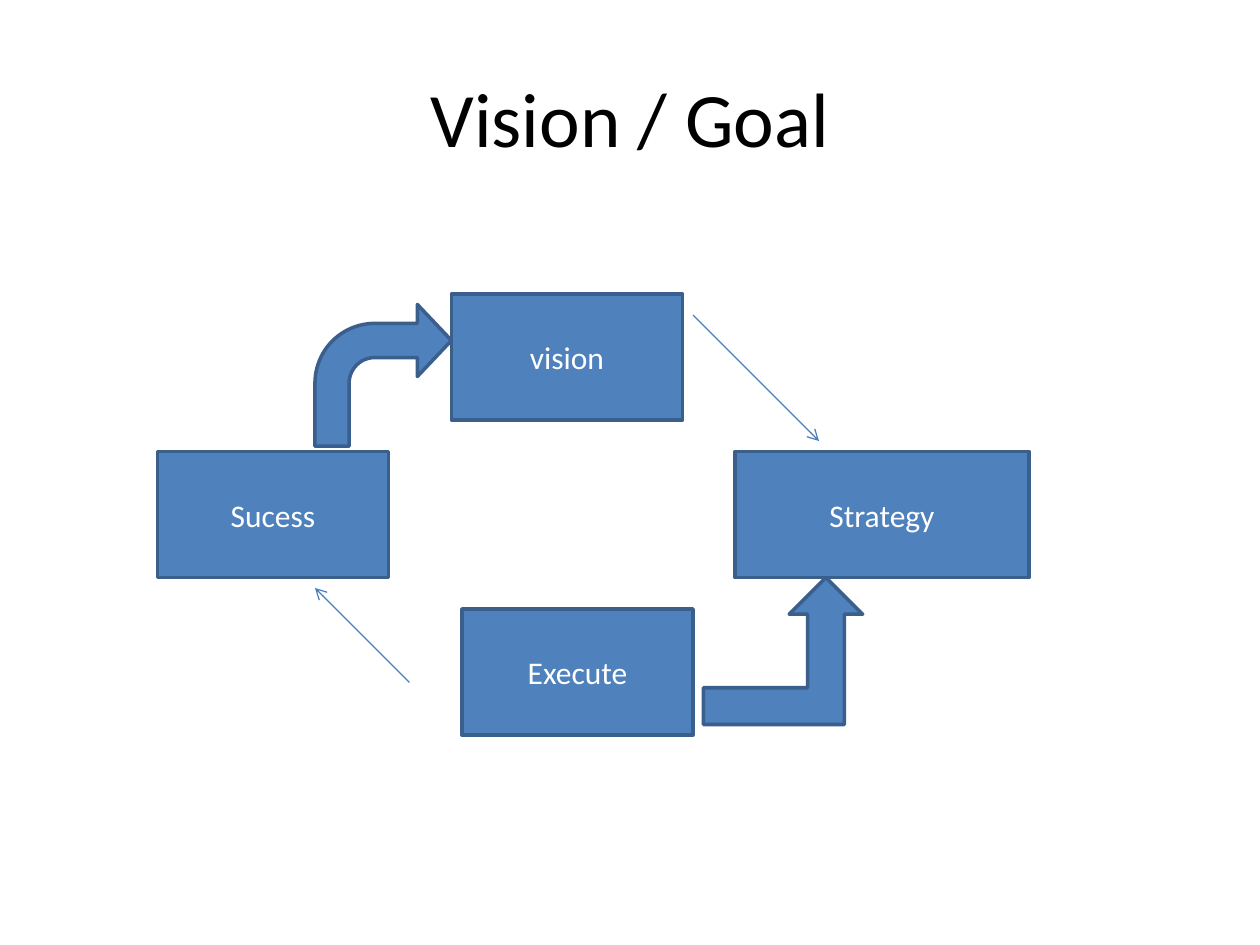
from lxml import etree
from pptx import Presentation
from pptx.dml.color import RGBColor
from pptx.enum.shapes import MSO_CONNECTOR, MSO_SHAPE
from pptx.enum.text import MSO_ANCHOR, PP_ALIGN
from pptx.oxml.ns import qn
from pptx.util import Pt

BLACK = RGBColor(0x00, 0x00, 0x00)
WHITE = RGBColor(0xFF, 0xFF, 0xFF)
BLUE = RGBColor(0x4F, 0x81, 0xBD)
OUTLINE = RGBColor(0x3A, 0x5F, 0x8C)
LINE_BLUE = RGBColor(0x4B, 0x7E, 0xBC)


def add_block(kind, left, top, width, height):
    """Add a blue preset shape with a darker outline."""
    sp = s.shapes.add_shape(kind, Pt(left), Pt(top), Pt(width), Pt(height))
    sp.shadow.inherit = False
    sp.fill.solid()
    sp.fill.fore_color.rgb = BLUE
    sp.line.color.rgb = OUTLINE
    sp.line.width = Pt(2)
    return sp


def write_centred(sp, text, size, color):
    tf = sp.text_frame
    tf.word_wrap = True
    tf.vertical_anchor = MSO_ANCHOR.MIDDLE
    p = tf.paragraphs[0]
    p.alignment = PP_ALIGN.CENTER
    r = p.add_run()
    r.text = text
    r.font.name = "Calibri"
    r.font.size = Pt(size)
    r.font.color.rgb = color


prs = Presentation()
prs.slide_width, prs.slide_height = Pt(720), Pt(540)
s = prs.slides.add_slide(prs.slide_layouts[6])

title = s.shapes.add_textbox(Pt(36), Pt(21.6), Pt(648), Pt(90))
write_centred(title, "Vision / Goal", 44, BLACK)

# Steps of the cycle: text, left, top, width
steps = [
    ("vision", 258, 168, 132),
    ("Strategy", 420, 258, 168),
    ("Execute", 264, 348, 132),
    ("Sucess", 90, 258, 132),
]
for text, left, top, width in steps:
    write_centred(add_block(MSO_SHAPE.RECTANGLE, left, top, width, 72), text, 18, WHITE)

bent_arrow = add_block(MSO_SHAPE.BENT_ARROW, 180, 174, 78, 81)
for i, value in enumerate((0.25, 0.264, 0.25, 0.438)):
    bent_arrow.adjustments[i] = value

add_block(MSO_SHAPE.BENT_UP_ARROW, 402, 330, 91, 84)

# Thin arrows: Execute to Sucess, vision to Strategy
for x1, y1, x2, y2 in [(234, 390, 180, 336), (396, 180, 468, 252)]:
    arrow = s.shapes.add_connector(MSO_CONNECTOR.STRAIGHT, Pt(x1), Pt(y1), Pt(x2), Pt(y2))
    arrow.line.color.rgb = LINE_BLUE
    arrow.line.width = Pt(0.75)
    etree.SubElement(arrow.line._get_or_add_ln(), qn("a:tailEnd"), type="arrow")
    etree.SubElement(arrow._element.spPr, qn("a:effectLst"))

prs.save("out.pptx")
